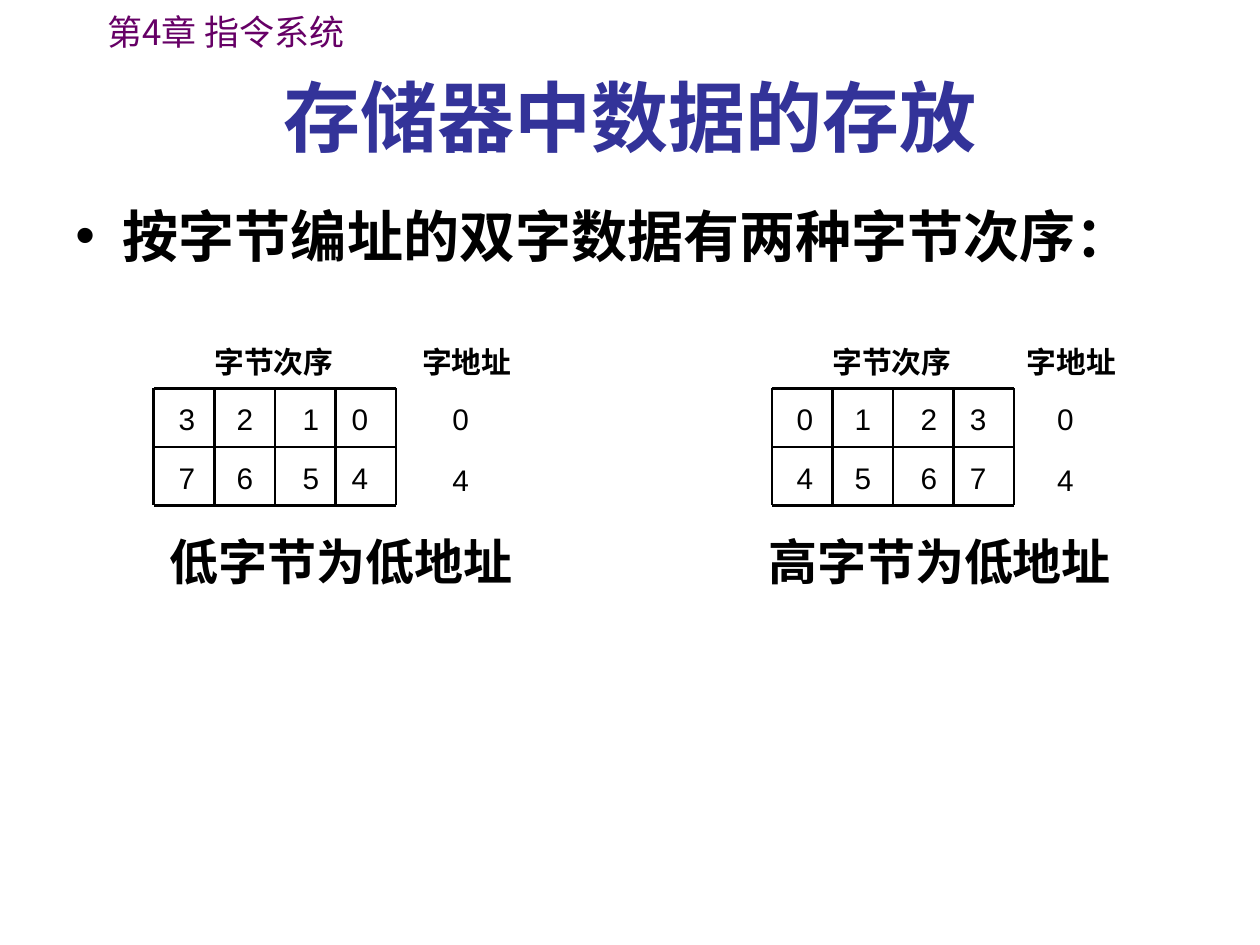
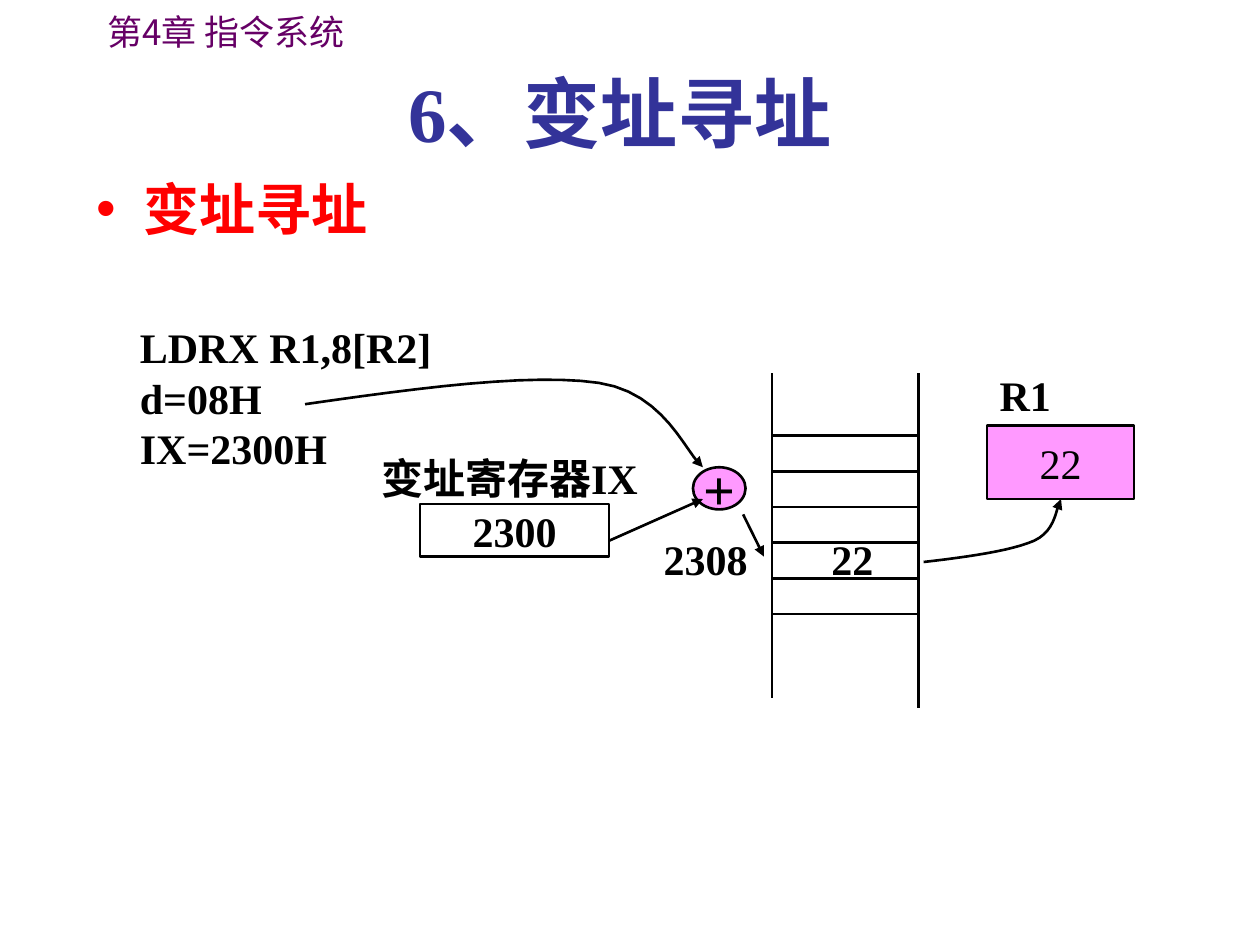
from lxml.etree import SubElement
from pptx import Presentation
from pptx.dml.color import RGBColor
from pptx.enum.shapes import MSO_CONNECTOR, MSO_SHAPE
from pptx.enum.text import MSO_ANCHOR, PP_ALIGN
from pptx.oxml.ns import qn
from pptx.util import Cm, Pt

BLACK, RED, PINK = "000000", "FF0000", "FF99FF"
TITLE, CHAPTER = "333399", "660066"
CJK, SERIF, SANS = "Noto Sans CJK SC", "Times New Roman", "Arial"
rgb = RGBColor.from_string


def write(tf, text, size, font=SERIF, color=BLACK, bold=True, center=False,
          middle=False, wrap=True, inset=True, bullet=False):
    """Fill a text frame, one paragraph per line of text."""
    tf.text = text
    tf.word_wrap = wrap
    if middle:
        tf.vertical_anchor = MSO_ANCHOR.MIDDLE
    if not inset:
        tf.margin_left = tf.margin_right = tf.margin_top = tf.margin_bottom = 0
    for p in tf.paragraphs:
        p.alignment = PP_ALIGN.CENTER if center else PP_ALIGN.LEFT
        if bullet:
            pPr = p._p.get_or_add_pPr()
            pPr.set("marL", str(Cm(0.96)))
            pPr.set("indent", str(Cm(-0.96)))
            SubElement(pPr, qn("a:buFont"), typeface=SANS)
            SubElement(pPr, qn("a:buChar"), char="•")
        for r in p.runs:
            r.font.size = Pt(size)
            r.font.bold = bold
            r.font.name = font
            r.font.color.rgb = rgb(color)
            SubElement(r._r.get_or_add_rPr(), qn("a:ea"), typeface=CJK)


def stroke(sp, arrow=False):
    """Give a shape or connector a plain black outline without shadow."""
    sp.line.color.rgb = rgb(BLACK)
    sp.line.width = Pt(1.5)
    spPr = sp._element.spPr
    if arrow:
        SubElement(spPr.find(qn("a:ln")), qn("a:tailEnd"), type="triangle")
    SubElement(spPr, qn("a:effectLst"))


prs = Presentation()
prs.slide_width, prs.slide_height = Cm(25.4), Cm(19.05)

# Chapter line, title and bullet on both slides
pages = [
    ("存储器中数据的存放", (1.27, 1.34, 22.86, 2),
     "按字节编址的双字数据有两种字节次序：", (1.27, 3.94, 22.86, 1.63), BLACK),
    ("6、变址寻址", (1.49, 1.32, 22.02, 1.85),
     "变址寻址", (1.69, 3.39, 22.22, 1.9), RED),
]
for title, title_box, point, point_box, color in pages:
    s = prs.slides.add_slide(prs.slide_layouts[6])
    sp = s.shapes.add_textbox(Cm(1.91), Cm(0.08), Cm(7.8), Cm(1.12))
    write(sp.text_frame, "第4章 指令系统", 20, CJK, CHAPTER, bold=False)
    sp = s.shapes.add_textbox(*map(Cm, title_box))
    write(sp.text_frame, title, 44, color=TITLE, center=True, middle=True)
    sp = s.shapes.add_textbox(*map(Cm, point_box))
    write(sp.text_frame, point, 32, color=color, bullet=True)

# Slide 1: the two byte orders
s = prs.slides[0]
top, col_w, row_h = 7.83, 1.22, 1.18
bottom = top + 2 * row_h
digit_offsets = (0.5, 1.67, 3, 3.99)
orders = [
    (3.1, 8.51, 3.17, ["3210", "7654"], "低字节为低地址"),
    (15.56, 20.7, 15.24, ["0123", "4567"], "高字节为低地址"),
]
for grid_x, address_x, caption_x, words, caption in orders:
    # Grid lines
    rules = [(grid_x, top + i * row_h, grid_x + 4 * col_w, top + i * row_h)
             for i in range(3)]
    rules += [(grid_x + j * col_w, top, grid_x + j * col_w, bottom) for j in range(5)]
    for rule in rules:
        sp = s.shapes.add_connector(MSO_CONNECTOR.STRAIGHT, *map(Cm, rule))
        stroke(sp)

    # Column headings, word addresses and byte numbers
    labels = [
        ("字节次序", grid_x + 1.22, 6.93, 2.8, CJK, True),
        ("字地址", address_x, 6.93, 2.2, CJK, True),
        ("0", address_x + 0.61, 8.08, 0.5, SANS, False),
        ("4", address_x + 0.61, 9.3, 0.5, SANS, False),
    ]
    for i, word in enumerate(words):
        for digit, offset in zip(word, digit_offsets):
            labels.append((digit, grid_x + offset, 8.08 + i * row_h, 0.5, SANS, False))
    for text, x, y, w, font, bold in labels:
        sp = s.shapes.add_textbox(Cm(x), Cm(y), Cm(w), Cm(0.71))
        write(sp.text_frame, text, 17, font, bold=bold, inset=False)

    sp = s.shapes.add_textbox(Cm(caption_x), Cm(10.59), Cm(8), Cm(1.45))
    write(sp.text_frame, caption, 28, SANS)

# Slide 2: adder, index register and target register
s = prs.slides[1]
nodes = [
    (MSO_SHAPE.OVAL, (13.97, 9.42, 1.06, 0.85), PINK, "+", 32, True),
    (MSO_SHAPE.RECTANGLE, (8.47, 10.16, 3.81, 1.06), None, "2300", 24, True),
    (MSO_SHAPE.RECTANGLE, (19.9, 8.58, 2.96, 1.48), PINK, "22", 24, False),
]
for kind, box, fill, text, size, bold in nodes:
    sp = s.shapes.add_shape(kind, *map(Cm, box))
    if fill:
        sp.fill.solid()
        sp.fill.fore_color.rgb = rgb(fill)
    else:
        sp.fill.background()
    stroke(sp)
    write(sp.text_frame, text, size, bold=bold, center=True, middle=True, wrap=False)

# Memory column and straight arrows
left, right = 15.56, 18.52
lines = [
    (left, 7.52, left, 14.07, False),
    (right, 7.52, right, 14.28, False),
    (12.28, 10.9, 14.17, 10.06, True),
    (14.98, 10.37, 15.4, 11.22, True),
]
for i in range(6):
    y = 8.78 + 0.72 * i
    lines.append((left, y, right, y, False))
for x1, y1, x2, y2, arrow in lines:
    sp = s.shapes.add_connector(MSO_CONNECTOR.STRAIGHT, Cm(x1), Cm(y1), Cm(x2), Cm(y2))
    stroke(sp, arrow)

# Curved arrows: displacement to adder, memory to R1 (Bézier points)
curves = [
    [(6.15, 8.15), (8.43, 7.82), (10.72, 7.52), (12.07, 7.72),
     (13.41, 7.92), (13.82, 9.14), (14.17, 9.42)],
    [(18.62, 11.33), (19.51, 11.23), (20.4, 11.1), (20.85, 10.9),
     (21.31, 10.69), (21.29, 10.19), (21.39, 10.06)],
]
steps = 12
for curve in curves:
    points = []
    for k in (0, 3):
        for n in range(1, steps + 1):
            t = n / steps
            weights = ((1 - t) ** 3, 3 * t * (1 - t) ** 2, 3 * t * t * (1 - t), t ** 3)
            points.append([Cm(sum(w * pt[axis] for w, pt in zip(weights, curve[k:k + 4])))
                           for axis in (0, 1)])
    builder = s.shapes.build_freeform(Cm(curve[0][0]), Cm(curve[0][1]))
    builder.add_line_segments(points, close=False)
    sp = builder.convert_to_shape()
    sp.fill.background()
    stroke(sp, arrow=True)

# Labels
sp = s.shapes.add_textbox(Cm(7.17), Cm(8.89), Cm(6.2), Cm(1.47))
write(sp.text_frame, "变址寄存器IX", 24, center=True, middle=True)
labels = [
    ("2308", 13.13, 10.64, 2.4, 1.2),
    ("22", 16.51, 10.64, 1.5, 1.2),
    ("R1", 19.9, 7.32, 2.31, 1.27),
    ("LDRX R1,8[R2]\nd=08H\nIX=2300H", 2.57, 6.36, 6.6, 3.3),
]
for text, x, y, w, h in labels:
    sp = s.shapes.add_textbox(Cm(x), Cm(y), Cm(w), Cm(h))
    write(sp.text_frame, text, 24)

prs.save("out.pptx")
